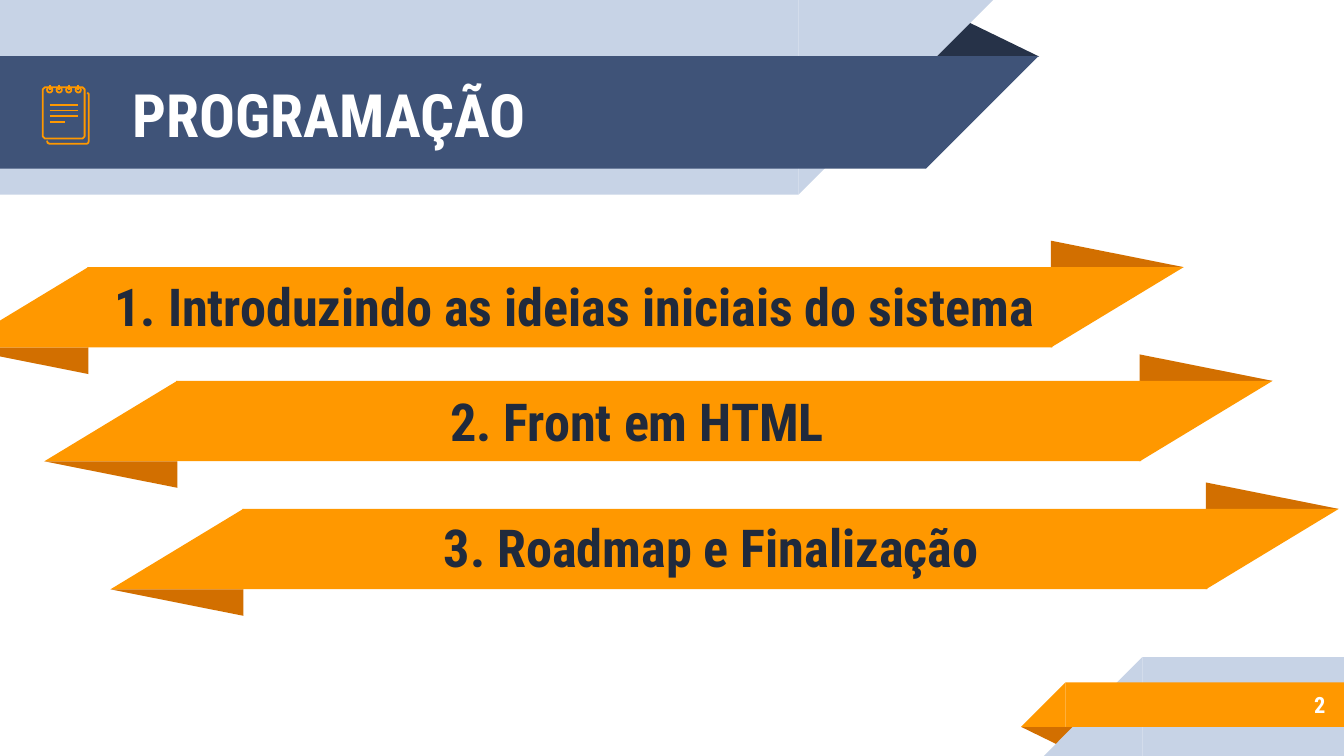
from dataclasses import dataclass
from lxml import etree
from pptx import Presentation
from pptx import util as u
from pptx.dml.color import RGBColor
from pptx.enum import shapes, text
from pptx.oxml import ns

HUES = {
    "pale": "C7D3E6", "navy": "3F5378", "dark": "263248", "ink": "202A3C",
    "gold": "FF9800", "rust": "D26F00", "white": "FFFFFF",
}
KINDS = shapes.MSO_SHAPE
BOX, WEDGE, FOLD = KINDS.RECTANGLE, KINDS.RIGHT_TRIANGLE, KINDS.ISOSCELES_TRIANGLE
FRAME = {
    "word_wrap": True, "vertical_anchor": text.MSO_ANCHOR.MIDDLE,
    "margin_left": u.Cm(0.25), "margin_right": u.Cm(0.25),
    "margin_top": u.Cm(0.25), "margin_bottom": u.Cm(0.25),
}
FONT = {"name": "Roboto Condensed", "bold": True}
LINE = u.Pt(0.96)


@dataclass
class Part:
    kind: int
    left: float
    top: float
    width: float
    height: float
    hue: str
    turn: int = 0
    flip: bool = False
    peak: float | None = None


@dataclass
class Label:
    words: str
    left: float
    top: float
    width: float
    height: float
    size: float
    hue: str
    align: int


@dataclass
class Ribbon:
    left: float
    top: float
    label: Label


def color(hue: str) -> RGBColor:
    return RGBColor.from_string(HUES[hue])


def assign(target, values: dict) -> None:
    for key, value in values.items():
        setattr(target, key, value)


def draw(tree, part: Part) -> None:
    sides = (part.left, part.top, part.width, part.height)
    shape = tree.add_shape(part.kind, *map(u.Cm, sides))
    shape.shadow.inherit = False
    shape.fill.solid()
    shape.fill.fore_color.rgb = color(part.hue)
    shape.line.fill.background()
    shape.rotation = part.turn
    if part.flip:
        shape._element.spPr.xfrm.set("flipH", "1")
    if part.peak is not None:
        shape.adjustments[0] = part.peak


def write(tree, label: Label) -> None:
    sides = (label.left, label.top, label.width, label.height)
    frame = tree.add_textbox(*map(u.Cm, sides)).text_frame
    assign(frame, FRAME)
    para = frame.paragraphs[0]
    para.alignment = label.align
    run = para.add_run()
    run.text = label.words
    assign(run.font, FONT | {"size": u.Pt(label.size)})
    run.font.color.rgb = color(label.hue)


def band(tree, ribbon: Ribbon) -> None:
    tall, end, fold, body = 1.52, 2.51, 0.5, 18.24
    left, top = ribbon.left, ribbon.top
    start = left + end - 0.02
    tip = start + body - 0.03
    for part in (
        Part(FOLD, tip, top - fold, end, fold, "rust", peak=0),
        Part(BOX, start, top, body, tall, "gold"),
        Part(WEDGE, tip, top, end, tall, "gold", 180, True),
        Part(WEDGE, left, top, end, tall, "gold", flip=True),
        Part(FOLD, left, top + tall, end, fold, "rust", 180, peak=0),
    ):
        draw(tree, part)


def ink(shape) -> None:
    shape.line.color.rgb = color("gold")
    shape.line.width = LINE


def stroke(tree, *ends: float) -> None:
    line = tree.add_connector(shapes.MSO_CONNECTOR.STRAIGHT, *map(u.Cm, ends))
    ink(line)
    etree.SubElement(line._element.spPr, ns.qn("a:effectLst"))


def trace(tree, points: list[tuple[float, float]], close: bool) -> None:
    dots = [(u.Cm(x), u.Cm(y)) for x, y in points]
    pen = tree.build_freeform(*dots[0])
    pen.add_line_segments(dots[1:], close=close)
    sheet = pen.convert_to_shape()
    sheet.shadow.inherit = False
    sheet.fill.background()
    ink(sheet)


def notebook(tree) -> None:
    trace(tree, [(0.89, 2.66), (0.9, 2.7), (0.94, 2.72), (1.64, 2.72),
                 (1.67, 2.7), (1.68, 2.66), (1.68, 1.78), (1.65, 1.75)], False)
    west, north, east, south, cut = 0.81, 1.65, 1.6, 2.62, 0.04
    trace(tree, [(west + cut, north), (east - cut, north),
                 (east, north + cut), (east, south - cut),
                 (east - cut, south), (west + cut, south),
                 (west, south - cut), (west, north + cut)], True)
    for i in range(4):
        x = 0.94 + 0.18 * i
        ring = tree.add_shape(KINDS.OVAL, *map(u.Cm, (x - 0.05, 1.65, 0.1, 0.1)))
        ring.shadow.inherit = False
        ring.fill.background()
        ink(ring)
        stroke(tree, x, 1.6, x, 1.7)
        y = 1.98 + 0.11 * i
        stroke(tree, 0.94, y, 1.22 if i == 3 else 1.47, y)


def topic(words: str, left: float, top: float) -> Label:
    return Label(words, left, top, 19.46, 1.47, 28, "ink", text.PP_ALIGN.CENTER)


PARTS = [
    Part(FOLD, 17.48, 0.36, 2.16, 0.71, "dark", peak=0.324),
    Part(BOX, 0, 0, 15.09, 3.68, "pale"),
    Part(WEDGE, 15.09, 0, 3.68, 3.68, "pale", 180, True),
    Part(BOX, 0, 1.06, 17.5, 2.13, "navy"),
    Part(WEDGE, 17.5, 1.06, 2.13, 2.13, "navy", 180, True),
    Part(FOLD, 19.3, 13.74, 1.09, 0.36, "rust", 180, peak=0.324),
    Part(BOX, 21.59, 12.42, 3.81, 1.87, "pale"),
    Part(WEDGE, 19.73, 12.42, 1.86, 1.87, "pale", flip=True),
    Part(BOX, 20.14, 12.9, 5.26, 0.84, "gold"),
    Part(WEDGE, 19.3, 12.9, 0.84, 0.84, "gold", flip=True),
]
LABELS = [
    Label("PROGRAMAÇÃO", 2.26, 1.09, 14.6, 2.13, 32, "white", text.PP_ALIGN.LEFT),
    Label("2", 21.16, 12.88, 4.14, 0.89, 12, "white", text.PP_ALIGN.RIGHT),
]
RIBBONS = [
    Ribbon(-0.84, 5.05, topic("1. Introduzindo as ideias iniciais do sistema", 1.12, 5.05)),
    Ribbon(0.84, 7.2, topic("2. Front em HTML", 2.31, 7.21)),
    Ribbon(2.09, 9.62, topic("3. Roadmap e Finalização", 3.71, 9.6)),
]


def main() -> None:
    deck = Presentation()
    assign(deck, {"slide_width": u.Cm(25.4), "slide_height": u.Cm(14.29)})
    tree = deck.slides.add_slide(deck.slide_layouts[6]).shapes
    for part in PARTS:
        draw(tree, part)
    for label in LABELS:
        write(tree, label)
    notebook(tree)
    for ribbon in RIBBONS:
        band(tree, ribbon)
        write(tree, ribbon.label)
    deck.save("out.pptx")


if __name__ == "__main__":
    main()
